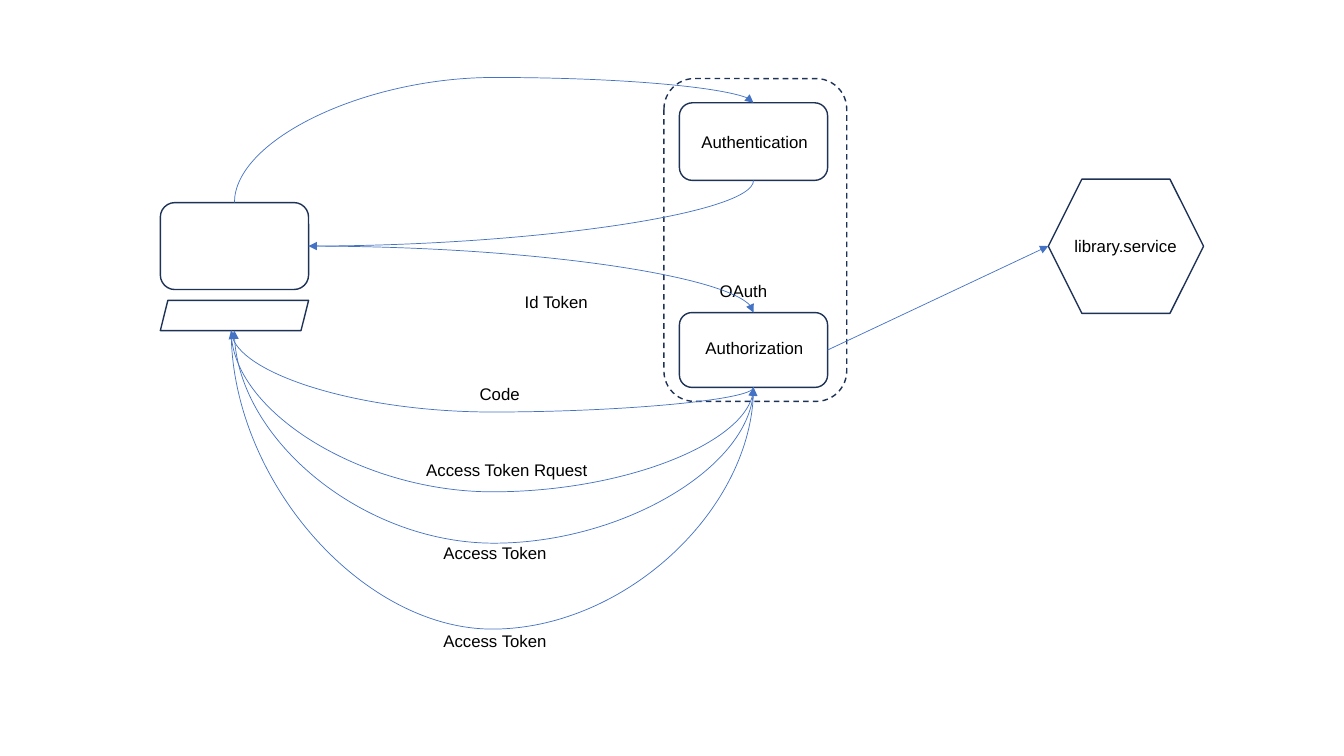
from lxml.etree import SubElement as Sub
from pptx import Presentation
from pptx.dml.color import RGBColor as RGB
from pptx.enum.dml import MSO_LINE as Dash
from pptx.enum.shapes import MSO_CONNECTOR as Link, MSO_SHAPE as Geo
from pptx.enum.text import MSO_AUTO_SIZE as Fit
from pptx.oxml.ns import qn
from pptx.util import Inches, Pt

HUE = {"edge": "1E3256", "flow": "4472C4", "text": "000000"}

deck = Presentation()
deck.slide_width, deck.slide_height = Inches(13.33), Inches(7.5)
slide = deck.slides.add_slide(deck.slide_layouts[6])
pen = slide.shapes

# Grid of 100 columns by 100 rows
COL, ROW = deck.slide_width / 100, deck.slide_height / 100


def cells(x, y, w, h):
    return [int(n) for n in (x * COL, y * ROW, w * COL, h * ROW)]


def style(link, end):
    """Thin flow line with an arrow at headEnd or tailEnd."""
    link.line.width = Pt(0.5)
    link.line.color.rgb = RGB.from_string(HUE["flow"])
    Sub(link.line._get_or_add_ln(), qn("a:" + end), type="triangle")
    Sub(link.element.spPr, qn("a:effectLst"))


# Nodes: shape, left, top, width, height
BOX = 11.03
USER, AUTH = 11.93, 50.55
nodes = [
    (Geo.HEXAGON, 78, 23.7, 11.55, 17.75),
    (Geo.ROUNDED_RECTANGLE, USER, 26.8, BOX, 11.5),
    (Geo.PARALLELOGRAM, USER, 39.73, BOX, 4),
    (Geo.ROUNDED_RECTANGLE, AUTH, 41.35, BOX, 9.9),
    (Geo.ROUNDED_RECTANGLE, AUTH, 13.6, BOX, 10.27),
    (Geo.ROUNDED_RECTANGLE, 49.4, 10.4, 13.6, 42.7),
]
for geo, *area in nodes:
    node = pen.add_shape(geo, *cells(*area))
    node.shadow.inherit = False
    node.fill.background()
    node.line.width = Pt(1)
    node.line.color.rgb = RGB.from_string(HUE["edge"])
node.line.dash_style = Dash.DASH  # the outer OAuth frame

# Labels: text, left, top, width
labels = [
    ("library.service", 79.2, 30.5, 9.15),
    ("Authorization", 51.75, 44, 8.85),
    ("Authentication", 51.45, 16.8, 9.45),
    ("OAuth", 52.8, 36.5, 5.1),
    ("Id Token", 38.3, 38, 6.2),
    ("Code", 34.95, 50.1, 4.5),
    ("Access Token Rquest", 30.98, 60.1, 13.58),
    ("Access Token", 32.25, 71.2, 9.3),
    ("Access Token", 32.25, 82.8, 9.3),
]
font = {"name": "Arial", "size": Pt(12)}
for text, x, y, w in labels:
    frame = pen.add_textbox(*cells(x, y, w, 4.04)).text_frame
    frame.word_wrap, frame.auto_size = False, Fit.SHAPE_TO_FIT_TEXT
    run = frame.paragraphs[0].add_run()
    run.text = text
    for key, value in font.items():
        setattr(run.font, key, value)
    run.font.color.rgb = RGB.from_string(HUE["text"])

# Straight arrow to the service
style(pen.add_connector(Link.STRAIGHT, *cells(61.58, 46.3, 78, 32.55)), "tailEnd")

# Curves: start, end, row of the bend (None for a quarter arc), arrow end
top, side = (USER + BOX / 2, 26.8), (USER + BOX, 32.55)
tray, base = (17.2, 43.73), (17.44, 43.73)
mid = AUTH + BOX / 2
login, reply = (mid, 13.6), (mid, 23.87)
grant, token = (mid, 41.35), (mid, 51.25)
curves = [
    (top, login, 10.25, "tailEnd"),
    (reply, side, None, "tailEnd"),
    (grant, side, None, "headEnd"),
    (token, tray, 54.5, "tailEnd"),
    (tray, token, 65.05, "tailEnd"),
    (token, base, 71.85, "tailEnd"),
    (tray, token, 83.2, "tailEnd"),
]
for (x1, y1), (x2, y2), bend, end in curves:
    # A quarter turn swaps width and height about the centre
    cx, cy = (x1 + x2) / 2 * COL, (y1 + y2) / 2 * ROW
    w, h = abs(y2 - y1) * ROW / 2, abs(x2 - x1) * COL / 2
    area = [int(n) for n in (cx - w, cy - h, cx + w, cy + h)]
    curve = pen.add_connector(Link.CURVE, *area)
    props = curve.element.spPr
    turn = {"rot": 90 * 60000, "flipH": int(y2 < y1), "flipV": int(x2 > x1)}
    for key, value in turn.items():
        props.xfrm.set(key, str(value))
    geom = props.find(qn("a:prstGeom"))
    if bend is None:
        geom.set("prst", "curvedConnector2")
    else:
        share = round((bend - y1) / (y2 - y1) * 100000)
        Sub(geom.find(qn("a:avLst")), qn("a:gd"), name="adj1", fmla=f"val {share}")
    style(curve, end)

deck.save("out.pptx")
